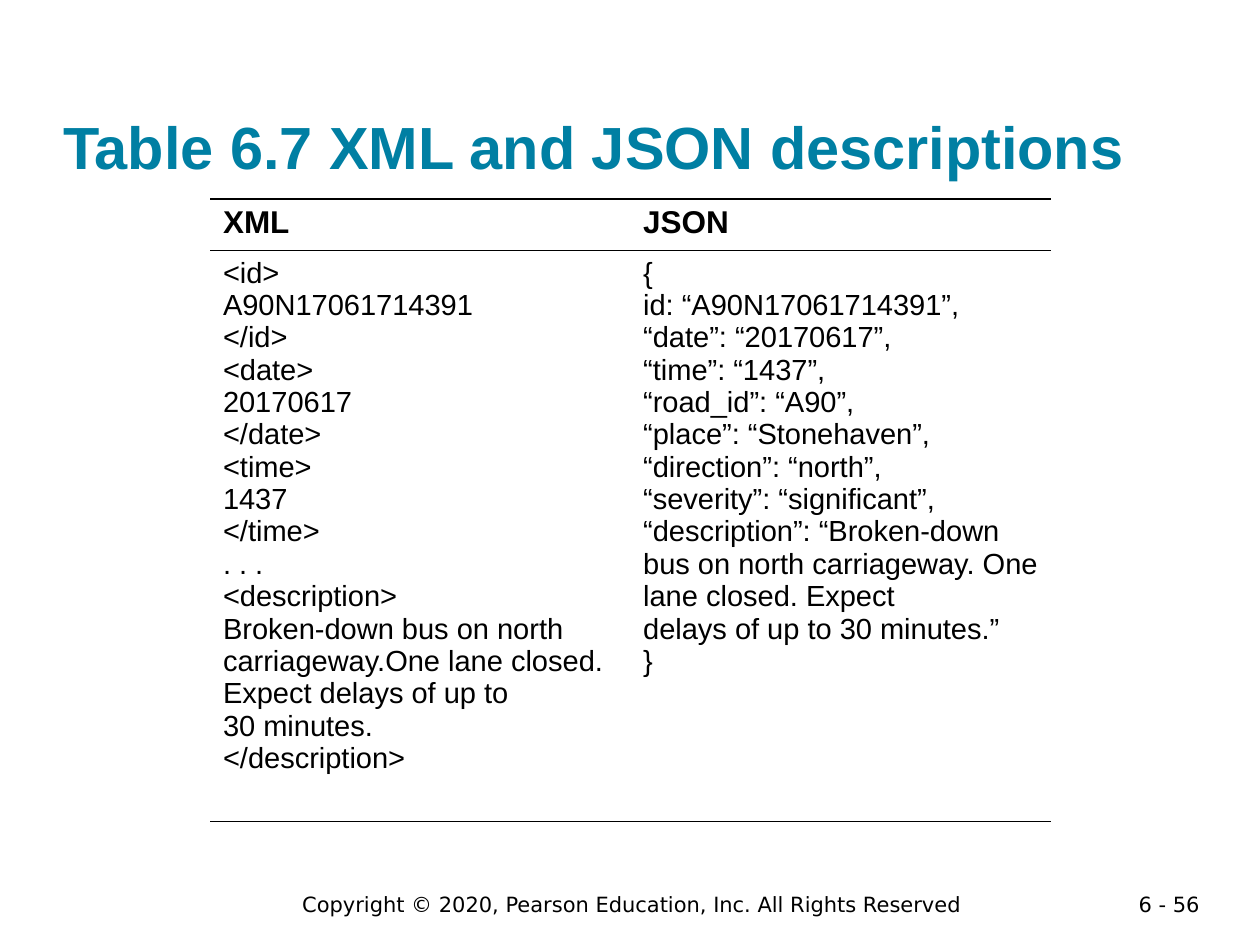
"""Build the slide that compares XML and JSON descriptions in a table."""
from pptx import Presentation
from pptx.dml.color import RGBColor
from pptx.enum.text import MSO_ANCHOR, PP_ALIGN
from pptx.oxml.ns import qn
from pptx.util import Inches, Pt
from lxml import etree

LEFT, CENTER, RIGHT = PP_ALIGN.LEFT, PP_ALIGN.CENTER, PP_ALIGN.RIGHT
BOTTOM = MSO_ANCHOR.BOTTOM
TEAL = RGBColor(0x00, 0x7F, 0xA3)
BLACK = RGBColor(0x00, 0x00, 0x00)

XML_LINES = [
    "<id>", "A90N17061714391", "</id>",
    "<date>", "20170617", "</date>",
    "<time>", "1437", "</time>",
    ". . .",
    "<description>",
    "Broken-down bus on north carriageway.One lane closed. Expect delays of up to",
    "30 minutes.",
    "</description>",
]
JSON_LINES = [
    "{",
    "id: “A90N17061714391”,",
    "“date”: “20170617”,",
    "“time”: “1437”,",
    "“road_id”: “A90”,",
    "“place”: “Stonehaven”,",
    "“direction”: “north”,",
    "“severity”: “significant”,",
    "“description”: “Broken-down bus on north carriageway. One lane closed. Expect",
    "delays of up to 30 minutes.”",
    "}",
]
ROWS = [(["XML"], ["JSON"]), (XML_LINES, JSON_LINES)]
ROW_HEIGHTS = [0.41, 4.34]
ROW_FONTS = [(18, True), (16.6, False)]


def write_lines(tf, lines, size, bold=False, color=BLACK, font="Arial", align=LEFT):
    """Fill a text frame with one formatted paragraph per line."""
    tf.word_wrap = True
    tf.text = "\n".join(lines)
    for p in tf.paragraphs:
        p.alignment = align
        for r in p.runs:
            r.font.name = font
            r.font.size = Pt(size)
            r.font.bold = bold
            r.font.color.rgb = color


def set_title(s, text):
    """Place and format the title placeholder."""
    sp = s.shapes.title
    sp.left, sp.top, sp.width, sp.height = (Inches(v) for v in (0.5, 0.24, 9, 1.2))
    tf = sp.text_frame
    tf.margin_left = tf.margin_right = tf.margin_top = tf.margin_bottom = 0
    tf.vertical_anchor = BOTTOM
    write_lines(tf, [text], 34, True, TEAL)


def rule_cell(cell):
    """Give a cell black rules above and below and no side borders or fill."""
    tcPr = cell._tc.get_or_add_tcPr()
    for side in ("L", "R", "T", "B"):
        ln = etree.SubElement(tcPr, qn(f"a:ln{side}"), w=str(Pt(1)))
        if side in "LR":
            etree.SubElement(ln, qn("a:noFill"))
        else:
            fill = etree.SubElement(ln, qn("a:solidFill"))
            etree.SubElement(fill, qn("a:srgbClr"), val=str(BLACK))
    cell.fill.background()


def add_comparison(s):
    """Add the two-column table of descriptions."""
    frame = s.shapes.add_table(len(ROWS), 2, Inches(1.67), Inches(1.58),
                               Inches(6.67), Inches(sum(ROW_HEIGHTS)))
    table = frame.table
    table.first_row = table.horz_banding = False
    for i, (texts, height, (size, bold)) in enumerate(zip(ROWS, ROW_HEIGHTS, ROW_FONTS)):
        table.rows[i].height = Inches(height)
        for j, lines in enumerate(texts):
            cell = table.cell(i, j)
            rule_cell(cell)
            write_lines(cell.text_frame, lines, size, bold)


def add_footer(s, text, left, width, height, align):
    """Add a footer text box."""
    sp = s.shapes.add_textbox(Inches(left), Inches(7.03), Inches(width), Inches(height))
    write_lines(sp.text_frame, [text], 12, font="DejaVu Sans", align=align)


def main():
    """Build and save the slide."""
    prs = Presentation()
    prs.slide_width, prs.slide_height = Inches(10), Inches(7.5)
    s = prs.slides.add_slide(prs.slide_layouts[5])
    add_footer(s, "6 - 56", 8.62, 1, 0.22, RIGHT)
    add_footer(s, "Copyright © 2020, Pearson Education, Inc. All Rights Reserved",
               1.64, 6.75, 0.3, CENTER)
    add_comparison(s)
    set_title(s, "Table 6.7 XML and JSON descriptions")
    prs.save("out.pptx")


if __name__ == "__main__":
    main()
